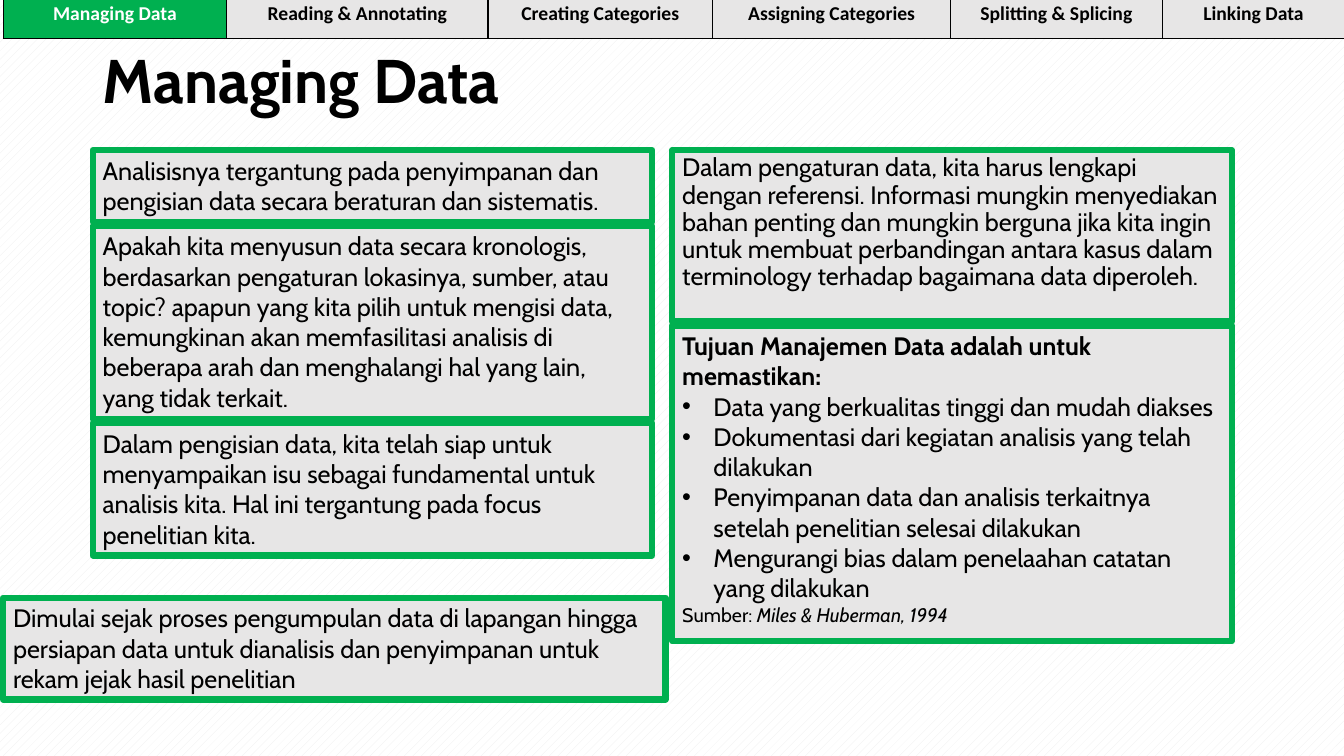
from dataclasses import dataclass

from lxml import etree
from pptx import Presentation
from pptx.dml.color import RGBColor
from pptx.dml.fill import FillFormat
from pptx.enum.dml import MSO_PATTERN
from pptx.enum.shapes import MSO_SHAPE
from pptx.enum.text import MSO_ANCHOR, MSO_AUTO_SIZE, PP_ALIGN
from pptx.oxml.ns import qn
from pptx.slide import Slide
from pptx.table import _Cell
from pptx.text.text import _Paragraph
from pptx.util import Inches, Length, Pt

RECTANGLE = MSO_SHAPE.RECTANGLE
HATCH = MSO_PATTERN.DASHED_UPWARD_DIAGONAL
LEFT, CENTER = PP_ALIGN.LEFT, PP_ALIGN.CENTER
TOP, MIDDLE = MSO_ANCHOR.TOP, MSO_ANCHOR.MIDDLE
GROW, FIXED = MSO_AUTO_SIZE.SHAPE_TO_FIT_TEXT, MSO_AUTO_SIZE.NONE

COLORS = {"accent": "00B050", "panel": "E7E6E6", "ink": "000000",
          "paper": "FFFFFF", "hatch": "EDEDED"}
BODY_FONT, TAB_FONT = "Cabin", "Calibri"
SLIDE_WIDTH, SLIDE_HEIGHT = Inches(13.33), Inches(7.5)
BULLET_INDENT = Inches(0.31)

# Places and sizes are percentages of the slide's width or height.
LEFT_COLUMN, RIGHT_COLUMN, COLUMN_WIDTH = 6.9, 50.02, 41.63
STACK_TOP, STACK_GAP = 19.87, 0.53
TABS_LEFT, TABS_TOP, TABS_HEIGHT = 0.23, -0.4, 5.47


@dataclass(frozen=True)
class Run:
    text: str
    size: float = 18
    bold: bool = False
    italic: bool = False


@dataclass(frozen=True)
class Line:
    runs: tuple[Run, ...]
    bulleted: bool = False


@dataclass(frozen=True)
class Panel:
    height: float
    lines: tuple[Line, ...]
    spacing: float = 1.0
    auto_size: MSO_AUTO_SIZE = GROW


@dataclass(frozen=True)
class Tab:
    label: str
    width: float
    active: bool = False


def plain(text: str) -> tuple[Line, ...]:
    return (Line((Run(text),)),)


TABS = (
    Tab("Managing Data", 16.65, active=True),
    Tab("Reading & Annotating", 19.43),
    Tab("Creating Categories", 16.73),
    Tab("Assigning Categories", 17.7),
    Tab("Splitting & Splicing", 15.75),
    Tab("Linking Data", 13.58),
)

STORAGE_PANELS = (
    Panel(9.47, plain("Analisisnya tergantung pada penyimpanan dan pengisian data secara "
                      "beraturan dan sistematis.")),
    Panel(25.6, plain("Apakah kita menyusun data secara kronologis, berdasarkan pengaturan "
                      "lokasinya, sumber, atau topic? apapun yang kita pilih untuk mengisi "
                      "data, kemungkinan akan memfasilitasi analisis di beberapa arah dan "
                      "menghalangi hal yang lain, yang tidak terkait.")),
    Panel(17.47, plain("Dalam pengisian data, kita telah siap untuk menyampaikan isu sebagai "
                       "fundamental untuk analisis kita. Hal ini tergantung pada focus "
                       "penelitian kita.")),
)

GOALS = (
    "Data yang berkualitas tinggi dan mudah diakses",
    "Dokumentasi dari kegiatan analisis yang telah dilakukan",
    "Penyimpanan data dan analisis terkaitnya setelah penelitian selesai dilakukan",
    "Mengurangi bias dalam penelaahan catatan yang dilakukan",
)

REFERENCE_PANELS = (
    Panel(22.67, plain("Dalam pengaturan data, kita harus lengkapi dengan referensi. "
                       "Informasi mungkin menyediakan bahan penting dan mungkin berguna jika "
                       "kita ingin untuk membuat perbandingan antara kasus dalam terminology "
                       "terhadap bagaimana data diperoleh."),
          spacing=0.9, auto_size=FIXED),
    Panel(41.73, (
        Line((Run("Tujuan Manajemen Data adalah untuk memastikan:", bold=True),)),
        *(Line((Run(goal),), bulleted=True) for goal in GOALS),
        Line((Run("Sumber: ", size=14), Run("Miles & Huberman, 1994", size=14, italic=True))),
    )),
)

PROCESS_PANEL = Panel(13.47, plain(
    "Dimulai sejak proses pengumpulan data di lapangan hingga persiapan data untuk dianalisis "
    "dan penyimpanan untuk rekam jejak hasil penelitian"))


def across(percent: float) -> Length:
    return Length(round(SLIDE_WIDTH * percent / 100))


def down(percent: float) -> Length:
    return Length(round(SLIDE_HEIGHT * percent / 100))


def rgb(name: str) -> RGBColor:
    return RGBColor.from_string(COLORS[name])


def paint(fill: FillFormat, color: str) -> None:
    fill.solid()
    fill.fore_color.rgb = rgb(color)


def write(paragraph: _Paragraph, text: str, *, size: float = 18, font: str = BODY_FONT,
          color: str = "ink", bold: bool = False, italic: bool = False,
          align: PP_ALIGN = LEFT, spacing: float = 1.0) -> None:
    paragraph.alignment = align
    paragraph.line_spacing = spacing
    run = paragraph.add_run()
    run.text = text
    run.font.name = font
    run.font.size = Pt(size)
    run.font.bold = bold
    run.font.italic = italic
    run.font.color.rgb = rgb(color)


def add_bullet(paragraph: _Paragraph) -> None:
    properties = paragraph._p.get_or_add_pPr()
    properties.set("marL", str(BULLET_INDENT))
    properties.set("indent", str(-BULLET_INDENT))
    etree.SubElement(properties, qn("a:buFont"), typeface="Arial")
    etree.SubElement(properties, qn("a:buChar"), char="•")


def add_borders(cell: _Cell) -> None:
    properties = cell._tc.get_or_add_tcPr()
    for side in ("a:lnL", "a:lnR", "a:lnT", "a:lnB"):
        border = etree.SubElement(properties, qn(side), w=str(Pt(1)))
        fill = etree.SubElement(border, qn("a:solidFill"))
        etree.SubElement(fill, qn("a:srgbClr"), val=COLORS["ink"])


def add_panel(slide: Slide, panel: Panel, left: float, top: float, width: float) -> None:
    box = slide.shapes.add_shape(RECTANGLE, across(left), down(top),
                                 across(width), down(panel.height))
    box.shadow.inherit = False
    paint(box.fill, "panel")
    box.line.color.rgb = rgb("accent")
    box.line.width = Pt(4.5)
    frame = box.text_frame
    frame.word_wrap = True
    frame.auto_size = panel.auto_size
    frame.vertical_anchor = TOP
    for index, line in enumerate(panel.lines):
        paragraph = frame.add_paragraph() if index else frame.paragraphs[0]
        if line.bulleted:
            add_bullet(paragraph)
        for run in line.runs:
            write(paragraph, run.text, size=run.size, bold=run.bold, italic=run.italic,
                  spacing=panel.spacing)


def add_stack(slide: Slide, panels: tuple[Panel, ...], left: float) -> None:
    top = STACK_TOP
    for panel in panels:
        add_panel(slide, panel, left, top, COLUMN_WIDTH)
        top += panel.height + STACK_GAP


def add_tabs(slide: Slide) -> None:
    total_width = sum(tab.width for tab in TABS)
    table = slide.shapes.add_table(1, len(TABS), across(TABS_LEFT), down(TABS_TOP),
                                   across(total_width), down(TABS_HEIGHT)).table
    table.first_row = table.horz_banding = False
    for column, cell, tab in zip(table.columns, table.rows[0].cells, TABS):
        column.width = across(tab.width)
        add_borders(cell)
        paint(cell.fill, "accent" if tab.active else "panel")
        write(cell.text_frame.paragraphs[0], tab.label, size=14, font=TAB_FONT, bold=True,
              color="paper" if tab.active else "ink", align=CENTER)


def add_title(slide: Slide) -> None:
    title = slide.shapes.title
    title.left, title.top = across(LEFT_COLUMN), down(1.33)
    title.width, title.height = across(86.27), down(19.33)
    title.text_frame.vertical_anchor = MIDDLE
    write(title.text_frame.paragraphs[0], "Managing Data", size=44, bold=True, spacing=0.9)


def main() -> None:
    deck = Presentation()
    deck.slide_width, deck.slide_height = SLIDE_WIDTH, SLIDE_HEIGHT
    slide = deck.slides.add_slide(deck.slide_layouts.get_by_name("Title Only"))
    backdrop = slide.background.fill
    backdrop.patterned()
    backdrop.pattern = HATCH
    backdrop.fore_color.rgb, backdrop.back_color.rgb = rgb("hatch"), rgb("paper")
    add_title(slide)
    add_stack(slide, STORAGE_PANELS, LEFT_COLUMN)
    add_stack(slide, REFERENCE_PANELS, RIGHT_COLUMN)
    add_panel(slide, PROCESS_PANEL, left=TABS_LEFT, top=79.07, width=49.29)
    add_tabs(slide)
    deck.save("out.pptx")


if __name__ == "__main__":
    main()
